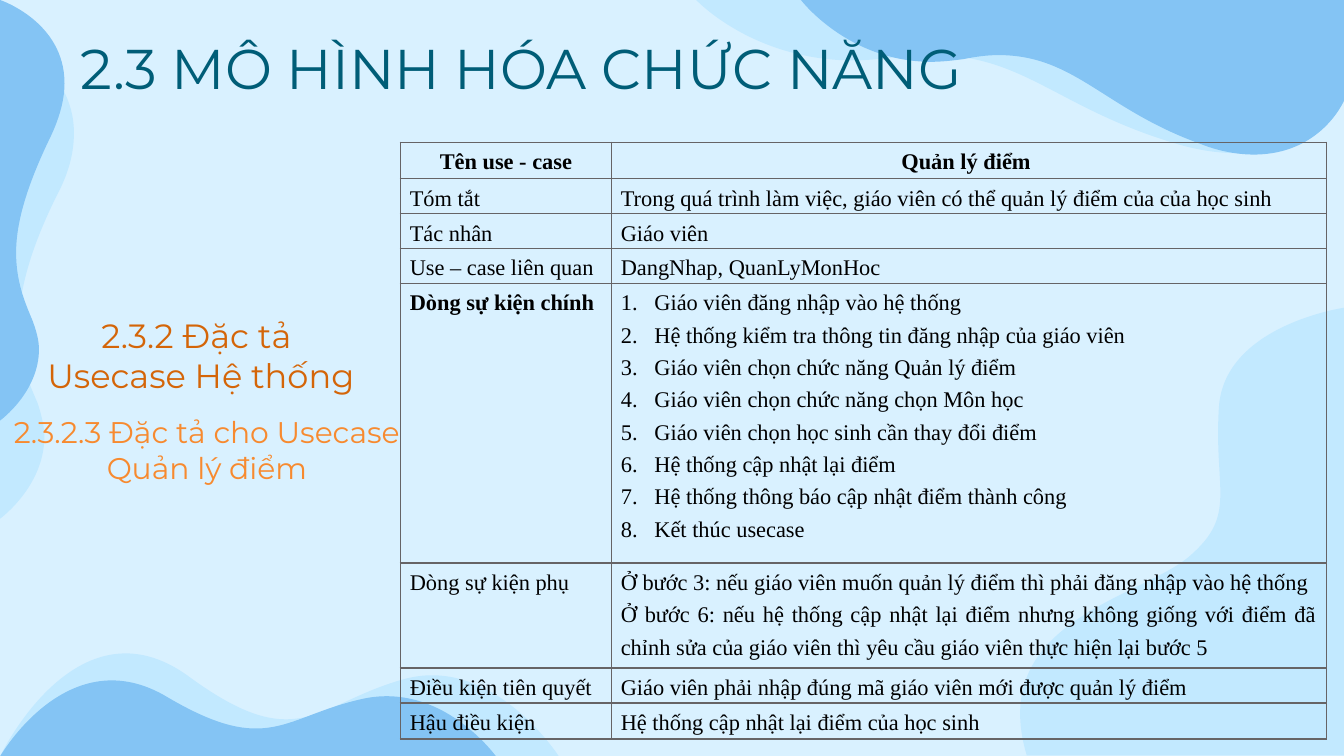
from lxml.etree import SubElement
from pptx import Presentation
from pptx.dml.color import RGBColor
from pptx.enum.text import MSO_AUTO_SIZE, MSO_ANCHOR, PP_ALIGN
from pptx.oxml.ns import qn
from pptx.util import Emu, Pt

PX = 9144  # 100 px to the inch
COLORS = {
    "back": "D9F1FF", "pale": "C2E9FF", "sky": "84C4F4", "title": "005D77",
    "head": "D46508", "sub": "F78A2F", "rule": "666466", "ink": "000000",
}
SANS, SERIF = "Montserrat", "Times New Roman"

# Each wave: colour, start, then lines (2 numbers) and curves (6 numbers)
WAVES = [
    ("pale", (1000, 229), [
        (1000, 229, 911, 242, 907, 303), (903, 365, 921, 383, 885, 414),
        (849, 445, 734, 462, 764, 562), (1000, 562), (1000, 229)]),
    ("pale", (1000, 0), [
        (1000, 74), (1000, 74, 979, 114, 921, 114),
        (907, 114, 891, 112, 872, 106), (787, 80, 761, 41, 694, 41),
        (685, 41, 674, 41, 663, 43), (653, 44, 644, 45, 635, 45),
        (560, 45, 518, 0, 518, 0)]),
    ("sky", (1000, 0), [
        (1000, 75), (1000, 75, 983, 115, 933, 115),
        (922, 115, 908, 113, 893, 107), (821, 81, 800, 41, 743, 41),
        (735, 41, 727, 42, 717, 44), (709, 45, 701, 46, 693, 46),
        (631, 46, 596, 0, 596, 0)]),
    ("pale", (416, 563), [
        (416, 563, 368, 488, 302, 505), (235, 523, 223, 564, 140, 503),
        (57, 443, 0, 563, 0, 563), (416, 563)]),
    ("sky", (370, 564), [
        (370, 564, 330, 507, 270, 520), (211, 533, 200, 563, 125, 519),
        (51, 474, 0, 563, 0, 563), (370, 564)]),
    ("pale", (55, 99), [
        (55, 47, 0, 28, 0, 28), (0, 386), (0, 386, 33, 362, 33, 325),
        (33, 318, 31, 309, 28, 300), (21, 284, 14, 267, 14, 243),
        (14, 219, 21, 188, 43, 144), (52, 127, 55, 112, 55, 99)]),
    ("sky", (48, 62), [
        (48, 16, 0, 0, 0, 0), (0, 313), (0, 313, 29, 292, 29, 260),
        (29, 253, 27, 246, 24, 238), (18, 224, 12, 209, 12, 188),
        (12, 167, 19, 140, 38, 101), (45, 86, 48, 73, 48, 62)]),
]

ROWS = [
    (27, "Tên use - case", ["Quản lý điểm "]),
    (26, "Tóm tắt", ["Trong quá trình làm việc, giáo viên có thể quản lý điểm của của học sinh "]),
    (26, "Tác nhân", ["Giáo viên"]),
    (26, "Use – case liên quan", ["DangNhap, QuanLyMonHoc"]),
    (208, "Dòng sự kiện chính", [
        "Giáo viên đăng nhập vào hệ thống",
        "Hệ thống kiểm tra thông tin đăng nhập của giáo viên",
        "Giáo viên chọn chức năng Quản lý điểm",
        "Giáo viên chọn chức năng chọn Môn học",
        "Giáo viên chọn học sinh cần thay đổi điểm",
        "Hệ thống cập nhật lại điểm",
        "Hệ thống thông báo cập nhật điểm thành công",
        "Kết thúc usecase"]),
    (78, "Dòng sự kiện phụ", [
        "Ở bước 3: nếu giáo viên muốn quản lý điểm thì phải đăng nhập vào hệ thống",
        "Ở bước 6: nếu hệ thống cập nhật lại điểm nhưng không giống với điểm đã "
        "chỉnh sửa của giáo viên thì yêu cầu giáo viên thực hiện lại bước 5"]),
    (26, "Điều kiện tiên quyết", ["Giáo viên phải nhập đúng mã giáo viên mới được quản lý điểm"]),
    (27, "Hậu điều kiện", ["Hệ thống cập nhật lại điểm của học sinh"]),
]
HEAD, MAIN = 0, 4


def px(n):
    return Emu(round(n * PX))


def rgb(name):
    return RGBColor.from_string(COLORS[name])


def style(para, face, size, color, align, bold=False):
    para.alignment = align
    font = para.font
    font.name, font.size, font.bold = face, Pt(size), bold
    font.color.rgb = rgb(color)


def bend(wave, parts):
    """Turn each run of three lines that stands for a curve into one."""
    lines = iter(list(wave._element.iter(qn("a:lnTo"))))
    for part in parts:
        line = next(lines)
        if len(part) == 6:
            line.tag = qn("a:cubicBezTo")
            for _ in range(2):
                spare = next(lines)
                line.append(spare[0])
                spare.getparent().remove(spare)


def add_waves(slide, left, top):
    for color, start, parts in WAVES:
        pairs = [start] + [part[i:i + 2] for part in parts for i in range(0, len(part), 2)]
        dots = [(px(left + x), px(top + y)) for x, y in pairs]
        pen = slide.shapes.build_freeform(*dots[0], scale=1.0)
        pen.add_line_segments(dots[1:], close=True)
        wave = pen.convert_to_shape()
        bend(wave, parts)
        wave.shadow.inherit = False
        wave.fill.solid()
        wave.fill.fore_color.rgb = rgb(color)
        wave.line.fill.background()


def fill_text(shape, box, lines, size, color, pad):
    shape.left, shape.top, shape.width, shape.height = map(px, box)
    frame = shape.text_frame
    frame.word_wrap, frame.auto_size = True, MSO_AUTO_SIZE.NONE
    frame.vertical_anchor = MSO_ANCHOR.TOP
    frame.margin_left = frame.margin_right = px(10)
    frame.margin_top = frame.margin_bottom = px(pad)
    frame.text = "\n".join(lines)
    for para in frame.paragraphs:
        style(para, SANS, size, color, PP_ALIGN.CENTER)


def add_title(slide, box):
    title = slide.shapes.title
    slide.shapes._spTree.append(title._element)  # in front of the waves
    fill_text(title, box, ["2.3 MÔ HÌNH HÓA CHỨC NĂNG"], 30, "title", 10)


def add_label(slide, box, lines, size, color, pad):
    fill_text(slide.shapes.add_textbox(*map(px, box)), box, lines, size, color, pad)


def add_edges(cell):
    props = cell._tc.get_or_add_tcPr()
    for side in ("lnL", "lnR", "lnT", "lnB"):
        line = SubElement(props, qn("a:" + side), w=str(Pt(1)))
        fill = SubElement(line, qn("a:solidFill"))
        SubElement(fill, qn("a:srgbClr"), val=COLORS["rule"])


def add_number(para):
    props = para._p.get_or_add_pPr()
    props.set("marL", str(px(25)))
    props.set("indent", str(-px(25)))
    tint = SubElement(props, qn("a:buClr"))
    SubElement(tint, qn("a:srgbClr"), val=COLORS["ink"])
    SubElement(props, qn("a:buAutoNum"), type="arabicPeriod")


def fill_cell(cell, lines, align, bold, listed):
    add_edges(cell)
    cell.fill.background()
    cell.margin_left = cell.margin_right = px(7)
    cell.margin_top = cell.margin_bottom = 0
    cell.text_frame.text = "\n".join(lines)
    for para in cell.text_frame.paragraphs:
        if listed:
            add_number(para)
        para.line_spacing = 1.3
        style(para, SERIF, 12, "ink", align, bold)


def add_grid(slide, left, top, widths):
    high = sum(row[0] for row in ROWS)
    box = map(px, (left, top, sum(widths), high))
    grid = slide.shapes.add_table(len(ROWS), len(widths), *box).table
    grid.first_row = grid.horz_banding = False
    for col, width in zip(grid.columns, widths):
        col.width = px(width)
    for i, (tall, name, lines) in enumerate(ROWS):
        grid.rows[i].height = px(tall)
        align = PP_ALIGN.CENTER if i == HEAD else PP_ALIGN.JUSTIFY
        first = PP_ALIGN.LEFT if i == MAIN else align
        fill_cell(grid.cell(i, 0), [name], first, i in (HEAD, MAIN), False)
        fill_cell(grid.cell(i, 1), lines, align, i == HEAD, i == MAIN)


def main():
    deck = Presentation()
    deck.slide_width, deck.slide_height = px(1000), px(562.5)
    slide = deck.slides.add_slide(deck.slide_layouts[5])
    slide.background.fill.solid()
    slide.background.fill.fore_color.rgb = rgb("back")
    add_waves(slide, 0, 0)
    add_title(slide, (24, 15, 728, 76))
    add_label(slide, (-9, 224, 317, 64), ["2.3.2 Đặc tả ", "Usecase Hệ thống"], 18, "head", 10)
    add_label(slide, (0, 303, 308, 64), ["2.3.2.3 Đặc tả cho Usecase Quản lý điểm"], 16, "sub", 5)
    add_grid(slide, 298, 106, (157, 532))
    deck.save("out.pptx")


if __name__ == "__main__":
    main()
